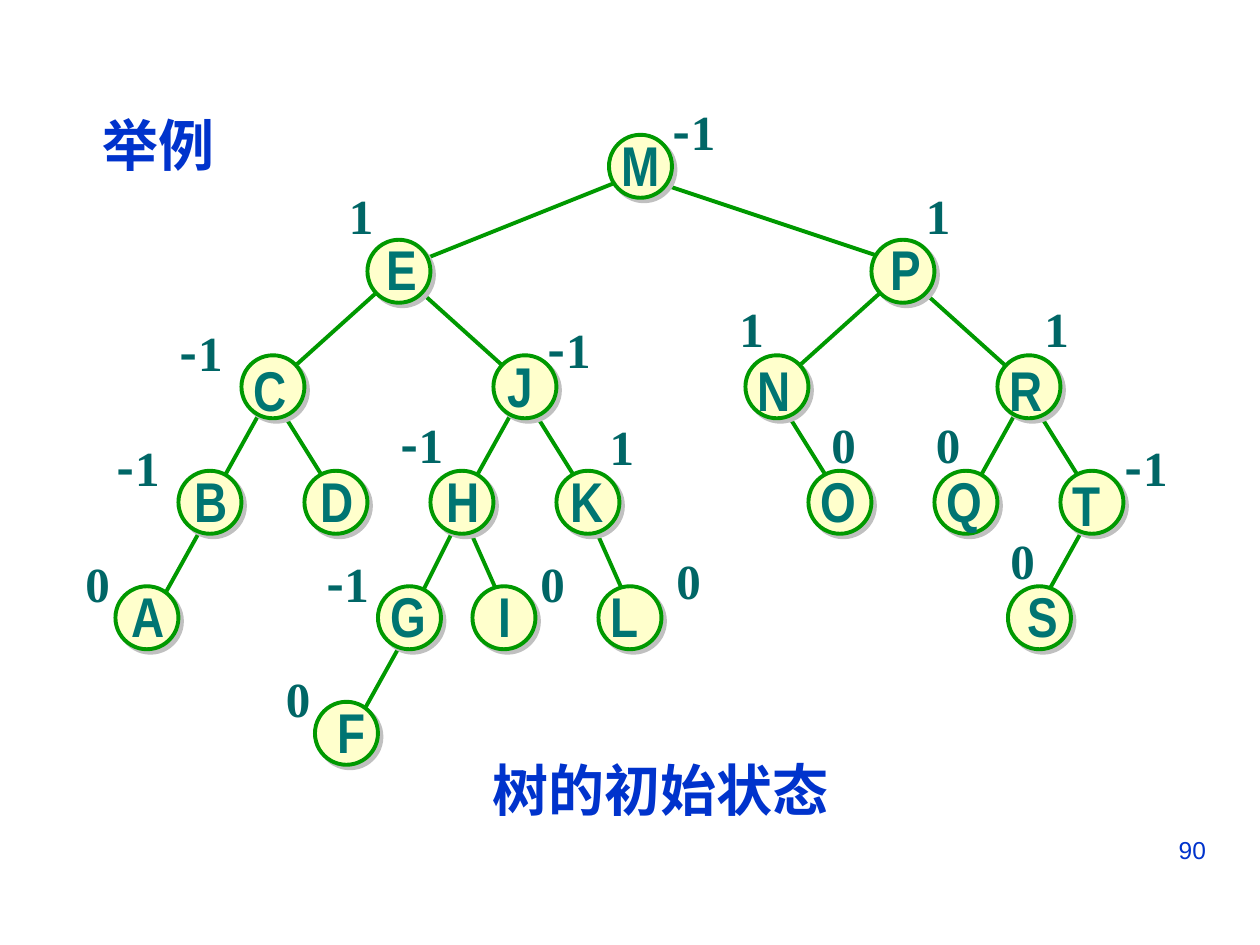
from dataclasses import dataclass

from lxml.etree import SubElement
from pptx import Presentation
from pptx.dml.color import RGBColor
from pptx.enum.shapes import MSO_CONNECTOR as Connector, MSO_SHAPE as Preset
from pptx.enum.text import MSO_ANCHOR as Anchor, MSO_AUTO_SIZE as AutoSize, PP_ALIGN as Align
from pptx.oxml.ns import qn
from pptx.util import Inches, Pt


@dataclass(frozen=True)
class Theme:
    heading: str = "0033CC"
    letter: str = "007572"
    balance: str = "006666"
    edge: str = "009900"
    node: str = "FFFFCC"
    shadow: str = "C0C0C0"
    heading_size: int = 32
    balance_size: int = 28
    number_size: int = 14
    edge_width: float = 2.25
    serif: str = "Times New Roman"
    narrow: str = "Arial Narrow"
    sans: str = "Arial"
    chinese: str = "Noto Sans CJK SC"


theme = Theme()
deck = Presentation()
deck.slide_width, deck.slide_height = Inches(10), Inches(7.5)
page = deck.slides.add_slide(deck.slide_layouts[5])


def add_spans(frame, spans, size, color, bold=True, align=Align.LEFT):
    """Write (text, font) pairs into the first paragraph of the frame."""
    para = frame.paragraphs[0]
    para.alignment = align
    for text, font in spans:
        span = para.add_run()
        span.text = text
        span.font.name, span.font.size, span.font.bold = font, Pt(size), bold
        span.font.color.rgb = RGBColor.from_string(color)
        SubElement(span.font._element, qn("a:ea"), typeface=theme.chinese)


def add_label(left, top, width, height, spans, size, color, **style):
    box = page.shapes.add_textbox(Inches(left), Inches(top), Inches(width), Inches(height))
    box.text_frame.word_wrap = False
    add_spans(box.text_frame, spans, size, color, **style)


# The tree stands on a grid of twelfths of an inch; each level has its row.
UNIT = 1 / 12
TREE_TOP = 1.07
LEVEL_ROWS = [0, 10, 21, 32, 43, 54]
NODE_SIZE = 6 * UNIT

# letter: column, level, letter shift right, letter shift up
nodes = {
    "M": (58, 0, 0, 0.08),
    "E": (35, 1, 0.05, 0.09), "P": (83, 1, 0.05, 0.09),
    "C": (23, 2, 0, 0.05), "J": (47, 2, 0.01, 0.08),
    "N": (71, 2, 0, 0.05), "R": (95, 2, 0, 0.05),
    "B": (17, 3, 0.03, 0.08), "D": (29, 3, 0.03, 0.08),
    "H": (41, 3, 0.03, 0.08), "K": (53, 3, 0.01, 0.08),
    "O": (77, 3, 0, 0.08), "Q": (89, 3, 0, 0.08), "T": (101, 3, 0, 0.05),
    "A": (11, 4, 0.03, 0.09), "G": (36, 4, 0, 0.09), "I": (45, 4, 0.11, 0.09),
    "L": (57, 4, 0, 0.09), "S": (96, 4, 0.06, 0.09),
    "F": (30, 5, 0.08, 0.08),
}
letter_widths = {"E": 0.44, "P": 0.44, "S": 0.44, "F": 0.42, "L": 0.42, "T": 0.42,
                 "G": 0.48, "O": 0.48, "Q": 0.48, "I": 0.3, "J": 0.4, "M": 0.51}
corners = {letter: (column * UNIT, TREE_TOP + LEVEL_ROWS[level] * UNIT)
           for letter, (column, level, *_) in nodes.items()}

# parent-child pairs, with the grid steps from each node's corner to the line's end
edges = [
    ("ME", (2, 4), (5, 2)),
    ("MP", (3, 4), (2, 2)),
    ("EC PN", (2, 4), (4, 2)),
    ("EJ", (4, 4), (2, 2)),
    ("PR", (5, 5), (3, 3)),
    ("CB JH RQ", (2, 5), (3, 3)),
    ("CD JK NO RT", (3, 4), (2, 1)),
    ("BA GF", (3, 4), (4, 2)),
    ("TS HI KL", (3, 4), (3, 2)),
    ("HG", (3, 4), (3, 3)),
]

# balance factor: the places where it stands
balances = {
    "-1": [(5.24, 0.76), (4.25, 2.49), (1.33, 2.51), (0.83, 3.42),
           (3.08, 3.24), (8.83, 3.42), (2.49, 4.34)],
    "0": [(0.58, 4.34), (2.17, 5.26), (4.19, 4.34), (5.27, 4.32),
          (6.5, 3.24), (7.33, 3.24), (7.92, 4.16)],
    "1": [(2.67, 1.42), (7.25, 1.42), (5.77, 2.32), (8.19, 2.32), (4.74, 3.26)],
}

title = page.shapes.title
title.left, title.top, title.width, title.height = map(Inches, (0.71, 0.83, 1.09, 0.63))
title.text_frame.auto_size = AutoSize.NONE
title.text_frame.word_wrap = False
title.text_frame.vertical_anchor = Anchor.TOP
add_spans(title.text_frame, [("举例", theme.serif)], theme.heading_size, theme.heading)

for pairs, parent_steps, child_steps in edges:
    for parent, child in pairs.split():
        ends = [Inches(corner + step * UNIT)
                for letter, steps in ((parent, parent_steps), (child, child_steps))
                for corner, step in zip(corners[letter], steps)]
        edge = page.shapes.add_connector(Connector.STRAIGHT, *ends)
        edge.line.color.rgb = RGBColor.from_string(theme.edge)
        edge.line.width = Pt(theme.edge_width)
        SubElement(edge._element.spPr, qn("a:effectLst"))

for left, top in corners.values():
    circle = page.shapes.add_shape(Preset.OVAL, Inches(left), Inches(top),
                                   Inches(NODE_SIZE), Inches(NODE_SIZE))
    circle.fill.solid()
    circle.fill.fore_color.rgb = RGBColor.from_string(theme.node)
    circle.line.color.rgb = RGBColor.from_string(theme.edge)
    circle.line.width = Pt(theme.edge_width)
    circle.shadow.inherit = False
    effects = circle._element.spPr.find(qn("a:effectLst"))
    shadow = SubElement(effects, qn("a:outerShdw"), dist=str(Pt(2.8)), dir=str(45 * 60000),
                        algn="ctr", rotWithShape="0")
    SubElement(shadow, qn("a:srgbClr"), val=theme.shadow)

for letter, (_, _, shift, rise) in nodes.items():
    left, top = corners[letter]
    add_label(left + shift, top - rise, letter_widths.get(letter, 0.47), 0.63,
              [(letter, theme.narrow)], theme.heading_size, theme.letter)

for balance, places in balances.items():
    spans = [(sign, theme.chinese if sign == "-" else theme.serif) for sign in balance]
    for left, top in places:
        add_label(left, top, 0.59 if len(balance) == 2 else 0.4, 0.57,
                  spans, theme.balance_size, theme.balance)

add_label(3.81, 5.95, 2.88, 0.63, [("树的初始状态", theme.serif)],
          theme.heading_size, theme.heading)
add_label(7.17, 6.58, 2.5, 0.52, [("90", theme.sans)],
          theme.number_size, theme.heading, bold=False, align=Align.RIGHT)

deck.save("out.pptx")
